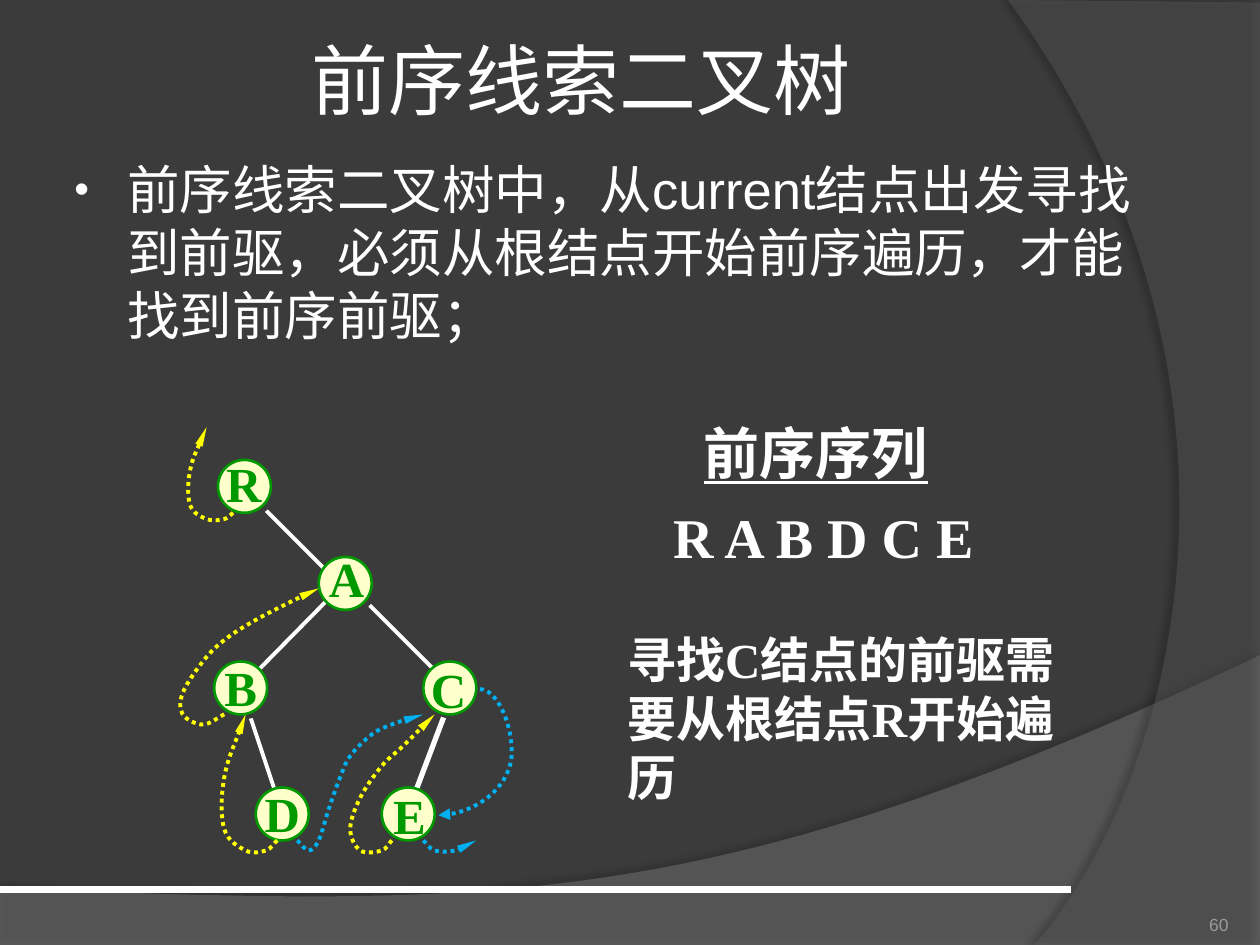
"""Build a slide on predecessors in a preorder threaded binary tree."""
from dataclasses import dataclass

from lxml.etree import SubElement
from pptx import Presentation
from pptx.dml.color import RGBColor as RGB
from pptx.enum.dml import MSO_LINE
from pptx.enum.shapes import MSO_CONNECTOR as CONNECTOR, MSO_SHAPE as SHAPE
from pptx.enum.text import MSO_ANCHOR as ANCHOR, MSO_AUTO_SIZE as AUTO, PP_ALIGN as ALIGN
from pptx.oxml.ns import qn
from pptx.util import Inches, Pt


@dataclass(frozen=True)
class Theme:
    background: str = "3B3B3B"
    text: str = "FFFFFF"
    muted: str = "9D9B9A"
    node_fill: str = "FFFFCC"
    node_line: str = "009900"
    thread_left: str = "FFFF00"
    thread_right: str = "00B0F0"
    title_size: int = 44
    heading_size: int = 32
    body_size: int = 30
    label_size: int = 28
    number_size: int = 10
    sans: str = "Arial"
    serif: str = "Times New Roman"
    cjk: str = "Noto Sans CJK JP"


THEME = Theme()
NODE_SIZE = 0.42
NODES = [("A", (2.53, 4.42), (2.51, 4.3, 0.48, 0.57)), ("B", (1.7, 5.25), (1.68, 5.17, 0.46, 0.57)),
         ("C", (3.36, 5.25), (3.32, 5.18, 0.48, 0.57)), ("D", (2.03, 6.25), (2, 6.17, 0.48, 0.57)),
         ("E", (3.03, 6.25), (3.02, 6.18, 0.46, 0.57)), ("R", (1.73, 3.65), (1.69, 3.55, 0.49, 0.57))]
EDGES = [((2.84, 4.71), (3.59, 5.46), 2.25), ((3.53, 5.67), (3.28, 6.33), 3),
         ((1.95, 5.58), (2.2, 6.33), 2.25), ((1.93, 3.87), (2.68, 4.62), 2.25),
         ((2.61, 4.75), (1.95, 5.42), 2.25)]
LEFT_THREADS = [
    [(3.11, 6.67), (3.03, 6.75), (2.86, 6.75), (2.78, 6.58), (2.86, 6.33),
     (3.03, 6.08), (3.2, 5.92), (3.45, 5.67)],
    [(1.78, 5.67), (1.61, 5.75), (1.45, 5.67), (1.45, 5.5), (1.61, 5.25),
     (1.78, 5.08), (2.03, 4.92), (2.36, 4.75), (2.53, 4.67)],
    [(2.2, 6.67), (2.11, 6.75), (1.95, 6.75), (1.78, 6.58), (1.78, 6.17), (1.95, 5.67)],
    [(1.85, 4.07), (1.78, 4.12), (1.64, 4.12), (1.51, 4.01), (1.51, 3.73), (1.64, 3.39)],
]
RIGHT_THREADS = [
    [(3.36, 6.67), (3.45, 6.75), (3.61, 6.75), (3.78, 6.67)],
    [(2.36, 6.67), (2.45, 6.75), (2.53, 6.67), (2.61, 6.42), (2.7, 6.17),
     (2.78, 6), (2.95, 5.83), (3.11, 5.75), (3.36, 5.67)],
]


def mirror(center, point):
    """Reflect a point through a center."""
    return tuple(2 * c - p for c, p in zip(center, point))


def spline(knots):
    """Return the cubic segments of a smooth curve through the knots."""
    padded = [mirror(knots[0], knots[1]), *knots, mirror(knots[-1], knots[-2])]
    return [(tuple(s + (e - b) / 6 for b, s, e in zip(before, start, end)),
             tuple(e - (a - s) / 6 for s, e, a in zip(start, end, after)), end)
            for before, start, end, after in zip(padded, padded[1:], padded[2:], padded[3:])]


def add_outline(slide, start, segments, close):
    """Draw a freeform of lines (one point) and cubic curves (three points)."""
    builder = slide.shapes.build_freeform(*map(Inches, start))
    builder.add_line_segments([tuple(map(Inches, segment[-1])) for segment in segments], close=close)
    shape = builder.convert_to_shape()
    shape.shadow.inherit = False
    for step, segment in zip(list(shape._element.iter(qn("a:lnTo"))), segments):
        if len(segment) == 3:
            step.tag = qn("a:cubicBezTo")
            for index, (x, y) in enumerate(segment[:2]):
                point = step.makeelement(qn("a:pt"), {"x": str(Inches(x) - shape.left),
                                                      "y": str(Inches(y) - shape.top)})
                step.insert(index, point)
    return shape


def add_shadow(shape, color, opacity, blur, distance, angle):
    """Give a shape an outer shadow."""
    shape.shadow.inherit = False
    outer = SubElement(shape._element.spPr.find(qn("a:effectLst")), qn("a:outerShdw"),
                       blurRad=str(Pt(blur)), dist=str(Pt(distance)), dir=str(angle * 60000),
                       algn="ctr", rotWithShape="0")
    shadow_color = SubElement(outer, qn("a:srgbClr"), val=color)
    SubElement(shadow_color, qn("a:alpha"), val=str(opacity * 1000))


def add_backdrop(slide, start, segments, color, opacity, shadow):
    """Draw a translucent background area with a soft shadow."""
    shape = add_outline(slide, start, segments, True)
    shape.fill.solid()
    shape.fill.fore_color.rgb = RGB.from_string(color)
    shape.line.fill.background()
    fill_color = shape._element.spPr.find(qn("a:solidFill")).find(qn("a:srgbClr"))
    SubElement(fill_color, qn("a:alpha"), val=str(opacity * 1000))
    add_shadow(shape, "000000", *shadow)


def add_line(slide, start, end, width, kind=CONNECTOR.STRAIGHT):
    """Draw a plain connector without a shadow."""
    line = slide.shapes.add_connector(kind, *map(Inches, (*start, *end)))
    line.line.width = Pt(width)
    line.line.color.rgb = RGB.from_string(THEME.text)
    SubElement(line._element.spPr, qn("a:effectLst"))
    return line


def style_thread(shape, color, **head):
    """Give a shape the dotted arrow line of a thread."""
    shape.line.color.rgb = RGB.from_string(color)
    shape.line.width = Pt(2.25)
    shape.line.dash_style = MSO_LINE.ROUND_DOT
    SubElement(shape._element.spPr.find(qn("a:ln")), qn("a:tailEnd"), type="triangle", **head)


def add_thread(slide, knots, color):
    """Draw a dotted curved arrow through the knots."""
    shape = add_outline(slide, knots[0], spline(knots), False)
    shape.fill.background()
    style_thread(shape, color, w="sm", len="lg")


def add_curved_thread(slide, start, end, bulge):
    """Draw a dotted curved connector that bulges sideways."""
    line = add_line(slide, start, end, 2.25, CONNECTOR.CURVE)
    geometry = line._element.spPr.find(qn("a:prstGeom"))
    SubElement(geometry.find(qn("a:avLst")), qn("a:gd"), name="adj1", fmla=f"val {bulge}")
    style_thread(line, THEME.thread_right)


def write(paragraph, text, size, font, color=THEME.text, align=ALIGN.LEFT, bold=False):
    """Fill and format one paragraph."""
    paragraph.text = text
    paragraph.alignment = align
    paragraph.font.size = Pt(size)
    paragraph.font.name = font
    paragraph.font.bold = bold
    paragraph.font.color.rgb = RGB.from_string(color)


def add_text_box(slide, box, wrap=True):
    """Add a text box and return its frame."""
    frame = slide.shapes.add_textbox(*map(Inches, box)).text_frame
    frame.word_wrap = wrap
    return frame


def add_node(slide, label, position, label_box):
    """Draw a tree node and its label."""
    node = slide.shapes.add_shape(SHAPE.OVAL, *map(Inches, (*position, NODE_SIZE, NODE_SIZE)))
    node.fill.solid()
    node.fill.fore_color.rgb = RGB.from_string(THEME.node_fill)
    node.line.color.rgb = RGB.from_string(THEME.node_line)
    node.line.width = Pt(1.5)
    add_shadow(node, THEME.background, 100, 0, 2.8, 45)
    frame = add_text_box(slide, label_box, wrap=False)
    frame.vertical_anchor = ANCHOR.MIDDLE
    write(frame.paragraphs[0], label, THEME.label_size, THEME.serif, THEME.node_line, ALIGN.CENTER, True)


def place(slide, placeholder, box, anchor):
    """Move a placeholder in front of the backdrop and return its frame."""
    placeholder.left, placeholder.top, placeholder.width, placeholder.height = map(Inches, box)
    slide.shapes._spTree.append(placeholder._element)
    frame = placeholder.text_frame
    frame.auto_size = AUTO.NONE
    frame.vertical_anchor = anchor
    return frame


def add_backdrops(slide):
    """Draw the two curved areas and the white bar."""
    add_backdrop(slide, (0, 7.05), [[(0, 7.51)], [(10, 7.51)], [(10, 5.2)], [(5.59, 7.29), (3.91, 7.19), (0, 7.05)]],
                 "7F7F7F", 45, (35, 4, 3.5, 270))
    add_backdrop(slide, (10, 0.02), [[(10, 7.5)], [(8.21, 7.5)], [(9.35, 6.19), (10.18, 3), (8, 0)], [(10, 0.02)]],
                 "5E5E5E", 40, (45, 4, 4, 180))
    add_line(slide, (0, 7.06), (8.5, 7.06), 4.5)


def add_placeholder_text(slide):
    """Fill the title and the bulleted body."""
    title = place(slide, slide.shapes.title, (0.53, 0, 8.17, 1.25), ANCHOR.MIDDLE)
    write(title.paragraphs[0], "前序线索二叉树", THEME.title_size, THEME.cjk, align=ALIGN.CENTER)
    body = place(slide, slide.placeholders[1], (0.45, 1.2, 8.77, 5.59), ANCHOR.TOP)
    paragraph = body.paragraphs[0]
    paragraph.space_before = Pt(0)
    properties = paragraph._p.get_or_add_pPr()
    properties.set("marL", str(Inches(0.46)))
    properties.set("indent", str(Inches(-0.42)))
    SubElement(SubElement(properties, qn("a:buClr")), qn("a:srgbClr"), val=THEME.text)
    SubElement(properties, qn("a:buSzPct"), val="80000")
    SubElement(properties, qn("a:buChar"), char="•")
    write(paragraph, "前序线索二叉树中，从current结点出发寻找到前驱，必须从根结点开始前序遍历，才能找到前序前驱；",
          THEME.body_size, THEME.sans)


def add_side_text(slide):
    """Write the sequence, the remark and the slide number."""
    sequence = add_text_box(slide, (4.96, 3.27, 3.03, 1.31))
    heading, letters = sequence.paragraphs[0], sequence.add_paragraph()
    write(heading, "前序序列", THEME.heading_size, THEME.sans, align=ALIGN.CENTER, bold=True)
    heading.font.underline = True
    write(letters, "R A B D C E", THEME.heading_size, THEME.serif, align=ALIGN.CENTER, bold=True)
    letters.space_before = Pt(9.5)
    letters._p.get_or_add_pPr().set("marL", str(Inches(0.12)))
    remark = add_text_box(slide, (4.88, 4.95, 3.83, 1.51))
    write(remark.paragraphs[0], "寻找C结点的前驱需要从根结点R开始遍历", THEME.label_size, THEME.serif, bold=True)
    number = add_text_box(slide, (8.92, 7.02, 0.83, 0.4))
    number.margin_left = number.margin_top = number.margin_right = number.margin_bottom = 0
    number.vertical_anchor = ANCHOR.BOTTOM
    write(number.paragraphs[0], "60", THEME.number_size, THEME.sans, THEME.muted, ALIGN.RIGHT)


def main():
    """Build and save the slide."""
    presentation = Presentation()
    presentation.slide_width, presentation.slide_height = Inches(10), Inches(7.5)
    slide = presentation.slides.add_slide(presentation.slide_layouts[1])
    slide.background.fill.solid()
    slide.background.fill.fore_color.rgb = RGB.from_string(THEME.background)
    add_backdrops(slide)
    add_placeholder_text(slide)
    for edge in EDGES:
        add_line(slide, *edge)
    for node in NODES:
        add_node(slide, *node)
    for threads, color in ((LEFT_THREADS, THEME.thread_left), (RIGHT_THREADS, THEME.thread_right)):
        for knots in threads:
            add_thread(slide, knots, color)
    add_curved_thread(slide, (3.81, 5.47), (3.48, 6.47), -76600)
    add_side_text(slide)
    presentation.save("out.pptx")


if __name__ == "__main__":
    main()
